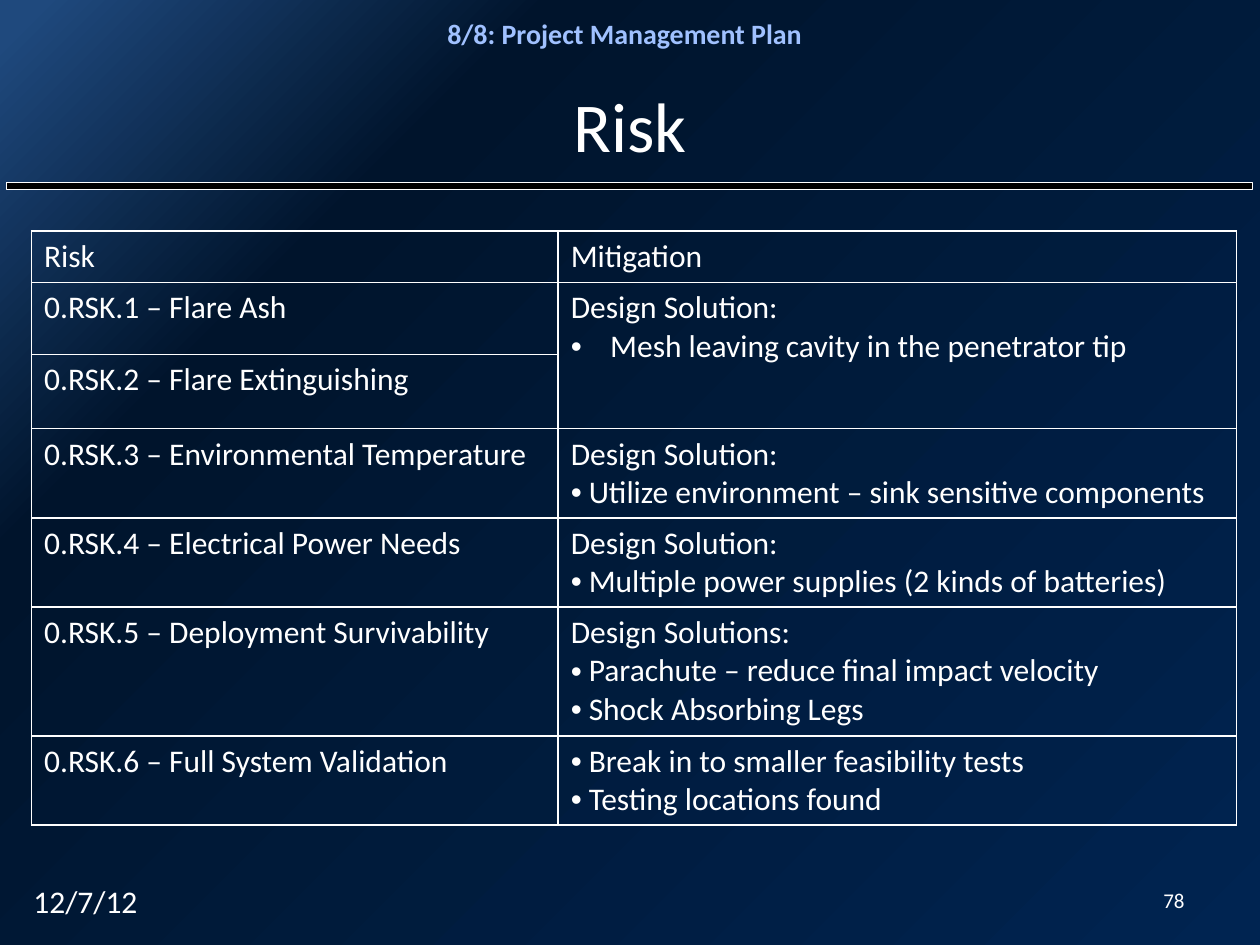
import pptx
import pptx.util
import pptx.dml.color
import pptx.enum.shapes
import pptx.enum.text
import pptx.oxml
import pptx.oxml.ns

Pt = pptx.util.Pt
RGBColor = pptx.dml.color.RGBColor
Align = pptx.enum.text.PP_ALIGN
Anchor = pptx.enum.text.MSO_ANCHOR

WHITE = RGBColor(0xFF, 0xFF, 0xFF)
BLACK = RGBColor(0x00, 0x00, 0x00)
SECTION_BLUE = RGBColor(0xA0, 0xC1, 0xFF)
GLOW_BLUE = RGBColor(0x1F, 0x49, 0x7D)
DARK_NAVY = RGBColor(0x00, 0x14, 0x2C)
NAVY = RGBColor(0x00, 0x24, 0x51)

BACKGROUND_STOPS = [(2, GLOW_BLUE, 100), (25, DARK_NAVY, 92), (100, NAVY, 100)]
BODY_FORMAT = {"name": "Calibri", "size": Pt(18), "bold": False}
NARROW_INDENT = 10.25
WIDE_INDENT = 22.5
COLUMN_WIDTHS = [301, 387.5]
ROWS = [
    (29.5, "Risk", "Mitigation", [], 0),
    (41, "0.RSK.1 – Flare Ash", "Design Solution:",
     ["Mesh leaving cavity in the penetrator tip"], WIDE_INDENT),
    (42.5, "0.RSK.2 – Flare Extinguishing", "", [], 0),
    (51, "0.RSK.3 – Environmental Temperature", "Design Solution:",
     ["Utilize environment – sink sensitive components"], NARROW_INDENT),
    (51, "0.RSK.4 – Electrical Power Needs", "Design Solution:",
     ["Multiple power supplies (2 kinds of batteries)"], NARROW_INDENT),
    (73.5, "0.RSK.5 – Deployment Survivability", "Design Solutions:",
     ["Parachute – reduce final impact velocity", "Shock Absorbing Legs"], NARROW_INDENT),
    (51, "0.RSK.6 – Full System Validation", "",
     ["Break in to smaller feasibility tests", "Testing locations found"], NARROW_INDENT),
]


def make_element(markup):
    head, tail = markup.split(" ", 1)
    return pptx.oxml.parse_xml(f"{head} {pptx.oxml.ns.nsdecls('a')} {tail}")


def paint_background(slide):
    fill = slide.background.fill
    fill.gradient()
    fill.gradient_angle = 315
    stop_list = fill._fill._gradFill.find(pptx.oxml.ns.qn("a:gsLst"))
    for stop in list(stop_list):
        stop_list.remove(stop)
    for position, color, opacity in BACKGROUND_STOPS:
        stop_list.append(make_element(
            f'<a:gs pos="{position * 1000}"><a:srgbClr val="{color}">'
            f'<a:alpha val="{opacity * 1000}"/></a:srgbClr></a:gs>'))


def add_run(paragraph, text, color=WHITE, **changes):
    run = paragraph.add_run()
    run.text = text
    for attribute, value in {**BODY_FORMAT, **changes}.items():
        setattr(run.font, attribute, value)
    run.font.color.rgb = color


def add_label(slide, box, text, alignment=Align.LEFT, anchor=Anchor.TOP, **changes):
    shape = slide.shapes.add_textbox(*map(Pt, box))
    shape.text_frame.word_wrap = True
    shape.text_frame.vertical_anchor = anchor
    paragraph = shape.text_frame.paragraphs[0]
    paragraph.alignment = alignment
    add_run(paragraph, text, **changes)


def add_divider(slide):
    shape = slide.shapes.add_shape(
        pptx.enum.shapes.MSO_SHAPE.RECTANGLE, Pt(3.6), Pt(104.4), Pt(712), Pt(3.6))
    shape.shadow.inherit = False
    shape.fill.solid()
    shape.fill.fore_color.rgb = BLACK
    shape.line.color.rgb = WHITE
    shape.line.width = Pt(0.25)


def add_bullet(paragraph, indent):
    properties = paragraph._p.get_or_add_pPr()
    properties.set("marL", str(Pt(indent)))
    properties.set("indent", str(-Pt(indent)))
    properties.append(make_element('<a:buFont typeface="Arial"/>'))
    properties.append(make_element('<a:buChar char="•"/>'))


def style_cell(cell):
    properties = cell._tc.get_or_add_tcPr()
    for side in ("lnL", "lnR", "lnT", "lnB"):
        properties.append(make_element(
            f'<a:{side} w="{Pt(1)}"><a:solidFill><a:srgbClr val="{WHITE}"/>'
            f'</a:solidFill></a:{side}>'))
    cell.fill.background()


def fill_cell(cell, heading, bullets=(), indent=0):
    lines = [(heading, False)] if heading else []
    lines += [(bullet, True) for bullet in bullets]
    for index, (text, bulleted) in enumerate(lines):
        frame = cell.text_frame
        paragraph = frame.add_paragraph() if index else frame.paragraphs[0]
        if bulleted:
            add_bullet(paragraph, indent)
        add_run(paragraph, text)


def add_risk_table(slide):
    height = sum(row[0] for row in ROWS)
    table = slide.shapes.add_table(
        len(ROWS), len(COLUMN_WIDTHS), Pt(18), Pt(132),
        Pt(sum(COLUMN_WIDTHS)), Pt(height)).table
    table.first_row = False
    table.horz_banding = False
    for column, width in zip(table.columns, COLUMN_WIDTHS):
        column.width = Pt(width)
    for index, (row_height, risk, heading, bullets, indent) in enumerate(ROWS):
        table.rows[index].height = Pt(row_height)
        fill_cell(table.cell(index, 0), risk)
        fill_cell(table.cell(index, 1), heading, bullets, indent)
    for cell in table.iter_cells():
        style_cell(cell)
    table.cell(1, 1).merge(table.cell(2, 1))


def main():
    presentation = pptx.Presentation()
    presentation.slide_width = Pt(720)
    presentation.slide_height = Pt(540)
    slide = presentation.slides.add_slide(presentation.slide_layouts[6])
    paint_background(slide)
    add_divider(slide)
    add_label(slide, (228, 6, 258, 26.5), "8/8: Project Management Plan", Align.CENTER,
              color=SECTION_BLUE, size=Pt(16), bold=True)
    add_label(slide, (63, 39.5, 594, 63), "Risk", Align.CENTER, Anchor.MIDDLE, size=Pt(40))
    add_risk_table(slide)
    add_label(slide, (12, 500.5, 168, 29), "12/7/12")
    add_label(slide, (654, 500.5, 30, 27.5), "78", Align.RIGHT, Anchor.MIDDLE, size=Pt(12))
    presentation.save("out.pptx")


if __name__ == "__main__":
    main()
